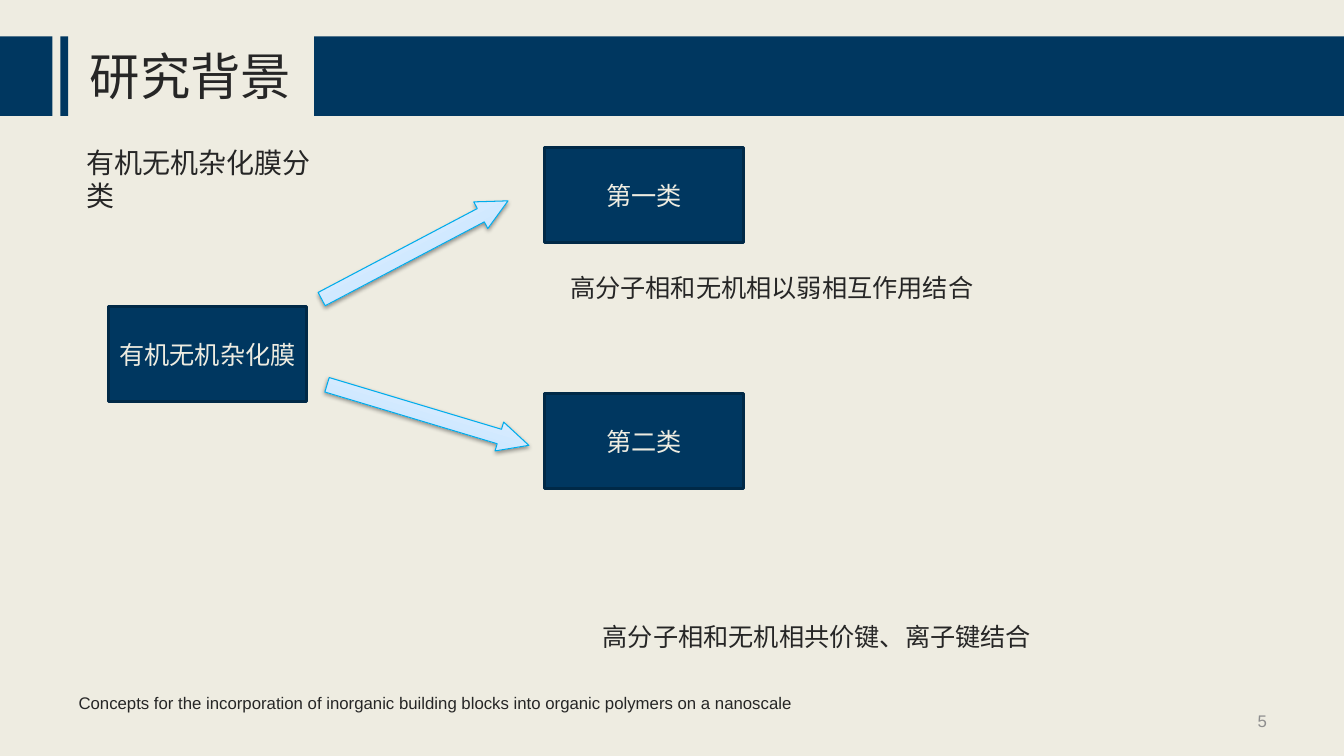
from pptx import Presentation
from pptx.dml.color import RGBColor
from pptx.enum.shapes import MSO_SHAPE
from pptx.enum.text import MSO_ANCHOR, PP_ALIGN
from pptx.oxml import parse_xml
from pptx.oxml.ns import nsdecls
from pptx.util import Cm, Pt

RECT, ARROW = MSO_SHAPE.RECTANGLE, MSO_SHAPE.RIGHT_ARROW
TOP, MIDDLE = MSO_ANCHOR.TOP, MSO_ANCHOR.MIDDLE
LEFT, CENTER, RIGHT = PP_ALIGN.LEFT, PP_ALIGN.CENTER, PP_ALIGN.RIGHT

COLORS = {
    "paper": "EEECE1", "navy": "003760", "edge": "002947",
    "ink": "262626", "gray": "8E8E8E", "sky": "00ACEB", "shade": "000000",
}
# Arrow gradient: position in percent, colour
STOPS = [(0, "B5DDFF"), (35, "CBE6FF"), (100, "EBF5FF")]
FONT = "Arial"


def rgb(name):
    return RGBColor.from_string(COLORS[name])


def set_all(target, values):
    for name, value in values.items():
        setattr(target, name, value)


def write(shape, text, size, color="ink", align=LEFT, anchor=TOP):
    frame = shape.text_frame
    set_all(frame, {"word_wrap": True, "vertical_anchor": anchor})
    para = frame.paragraphs[0]
    para.alignment = align
    run = para.add_run()
    run.text = text
    set_all(run.font, {"name": FONT, "size": Pt(size)})
    run.font.color.rgb = rgb(color)


def add_text(shapes, text, place, size, **style):
    box = shapes.add_textbox(*map(Cm, place))
    write(box, text, size, **style)


def add_bar(shapes, place):
    bar = shapes.add_shape(RECT, *map(Cm, place))
    bar.shadow.inherit = False
    bar.fill.solid()
    bar.fill.fore_color.rgb = rgb("navy")
    bar.line.fill.background()
    return bar


def add_box(shapes, text, left, top):
    box = add_bar(shapes, (left, top, 5, 2.4))
    box.line.color.rgb = rgb("edge")
    box.line.width = Pt(2)
    write(box, text, 18, color="paper", align=CENTER, anchor=MIDDLE)


def add_arrow(shapes, left, top, angle):
    arrow = shapes.add_shape(ARROW, Cm(left), Cm(top), Cm(5.31), Cm(0.76))
    arrow.rotation = angle
    arrow.adjustments[1] = 1.02

    # Gradient fill
    stops = "".join(
        f'<a:gs pos="{pos * 1000}"><a:srgbClr val="{color}"/></a:gs>'
        for pos, color in STOPS
    )
    arrow.element.spPr.insert(2, parse_xml(
        f'<a:gradFill {nsdecls("a")} rotWithShape="1"><a:gsLst>{stops}</a:gsLst>'
        '<a:lin ang="16200000" scaled="1"/></a:gradFill>'
    ))
    arrow.line.color.rgb = rgb("sky")
    arrow.line.width = Pt(0.75)

    # Soft shadow below
    arrow.shadow.inherit = False
    arrow.element.spPr[-1].append(parse_xml(
        f'<a:outerShdw {nsdecls("a")} blurRad="{Pt(3.1)}" dist="{Pt(1.6)}" '
        f'dir="5400000" rotWithShape="0"><a:srgbClr val="{COLORS["shade"]}">'
        '<a:alpha val="38000"/></a:srgbClr></a:outerShdw>'
    ))


def add_header(slide, title):
    group = slide.shapes.add_group_shape().shapes
    for left, width in [(0, 1.32), (1.52, 0.2), (7.92, 25.95)]:
        add_bar(group, (left, 0.92, width, 2))
    add_text(group, title, (2.01, 1.02, 6.4, 1.8), 36)


def main():
    deck = Presentation()
    set_all(deck, {"slide_width": Cm(33.87), "slide_height": Cm(19.05)})
    slide = deck.slides.add_slide(deck.slide_layouts[6])
    slide.background.fill.solid()
    slide.background.fill.fore_color.rgb = rgb("paper")
    shapes = slide.shapes

    # Header and subtitle
    add_header(slide, "研究背景")
    add_text(shapes, "有机无机杂化膜分类", (1.93, 3.53, 6.8, 1.12), 20)

    # Classes of membrane
    add_box(shapes, "有机无机杂化膜", 2.73, 7.72)
    add_box(shapes, "第一类", 13.73, 3.72)
    add_box(shapes, "第二类", 13.73, 9.92)
    add_arrow(shapes, 7.8, 5.92, 332.2)
    add_arrow(shapes, 8.13, 10.08, 16.7)

    # Bonding in each class
    add_text(shapes, "高分子相和无机相以弱相互作用结合", (14.12, 6.73, 10.8, 1.02), 18)
    add_text(shapes, "高分子相和无机相共价键、离子键结合", (14.94, 15.52, 11.5, 1.02), 18)

    # Footer and page number
    add_text(
        shapes,
        "Concepts for the incorporation of inorganic building blocks "
        "into organic polymers on a nanoscale",
        (1.73, 17.32, 26, 0.77), 12,
    )
    add_text(shapes, "5", (24.28, 17.65, 7.9, 1.02), 12,
             color="gray", align=RIGHT, anchor=MIDDLE)

    deck.save("out.pptx")


if __name__ == "__main__":
    main()
